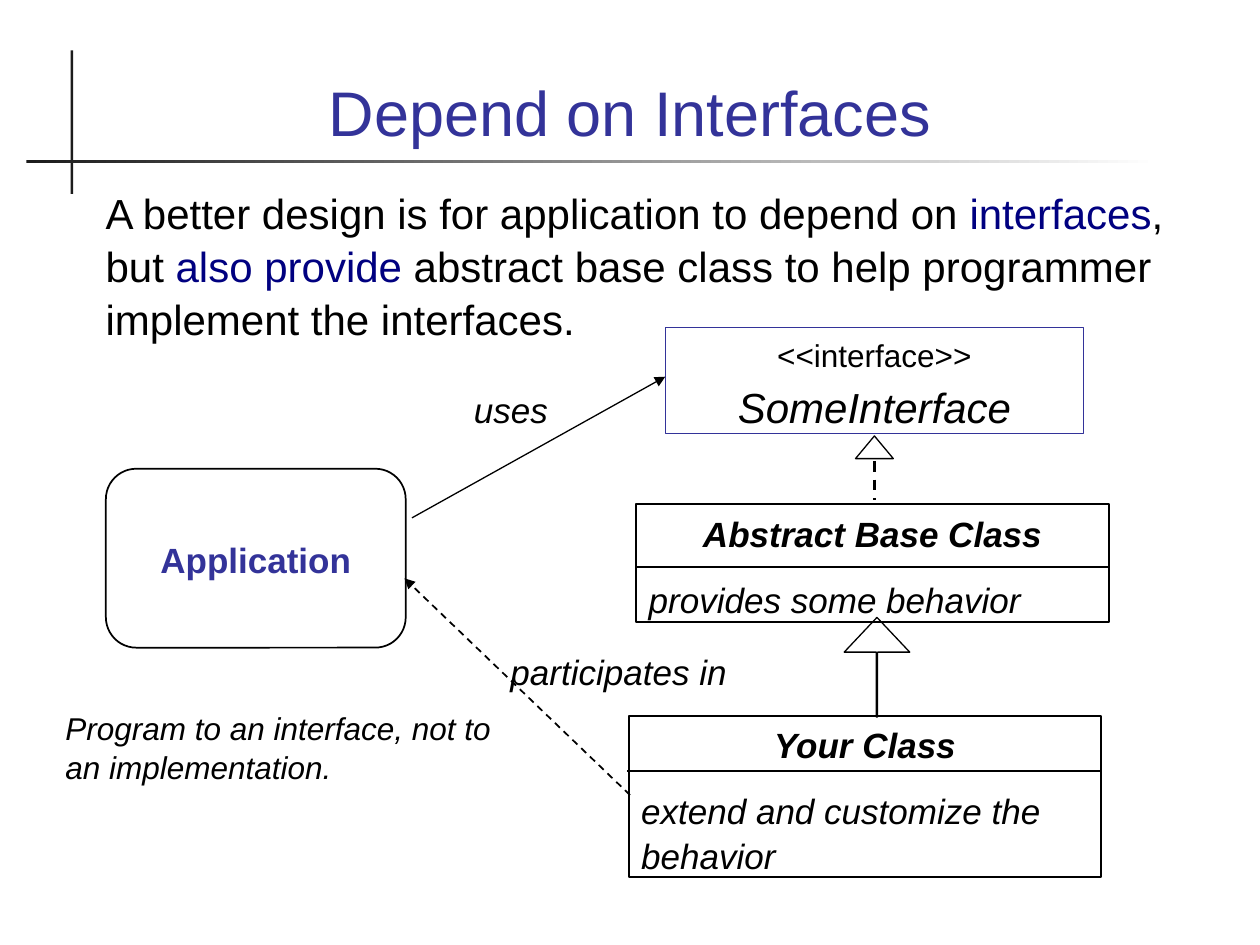
from pptx import Presentation
from pptx.dml.color import RGBColor
from pptx.enum.dml import MSO_LINE
from pptx.enum.shapes import MSO_CONNECTOR, MSO_SHAPE
from pptx.enum.text import MSO_ANCHOR, PP_ALIGN
from pptx.oxml.ns import qn
from pptx.util import Inches, Pt
from lxml import etree

RECTANGLE = MSO_SHAPE.RECTANGLE
LEFT, CENTER = PP_ALIGN.LEFT, PP_ALIGN.CENTER
TOP, MIDDLE, BOTTOM = MSO_ANCHOR.TOP, MSO_ANCHOR.MIDDLE, MSO_ANCHOR.BOTTOM
DASH = MSO_LINE.DASH
BLACK = RGBColor(0x00, 0x00, 0x00)
WHITE = RGBColor(0xFF, 0xFF, 0xFF)
CHARCOAL = RGBColor(0x1C, 0x1C, 0x1C)
INDIGO = RGBColor(0x33, 0x33, 0x99)
NAVY = RGBColor(0x00, 0x00, 0x80)

presentation = Presentation()
presentation.slide_width = Inches(10)
presentation.slide_height = Inches(7.5)
slide = presentation.slides.add_slide(presentation.slide_layouts[6])

# Grid of 100 columns by 75 rows
COLUMN = presentation.slide_width / 100
ROW = presentation.slide_height / 75


def add_box(kind, left, top, width, height, line_color=None, line_width=1,
            paragraphs=(), anchor=TOP):
    """Add a shape; a paragraph is (alignment, space before, runs),
    a run is (text, size, colour, bold, italic)."""
    shape = slide.shapes.add_shape(kind, int(left * COLUMN), int(top * ROW),
                                   int(width * COLUMN), int(height * ROW))
    shape.shadow.inherit = False
    shape.fill.background()
    if line_color is None:
        shape.line.fill.background()
    else:
        shape.line.color.rgb = line_color
        shape.line.width = Pt(line_width)
    frame = shape.text_frame
    frame.word_wrap = True
    frame.vertical_anchor = anchor
    for index, (alignment, space_before, runs) in enumerate(paragraphs):
        paragraph = frame.add_paragraph() if index else frame.paragraphs[0]
        paragraph.alignment = alignment
        paragraph.space_before = Pt(space_before)
        paragraph.line_spacing = 1.05
        for text, size, color, bold, italic in runs:
            run = paragraph.add_run()
            run.text = text
            run.font.name = "Arial"
            run.font.size = Pt(size)
            run.font.color.rgb = color
            run.font.bold = bold
            run.font.italic = italic
    return shape


def add_line(start, end, width, dash=None, arrow=False):
    line = slide.shapes.add_connector(
        MSO_CONNECTOR.STRAIGHT, int(start[0] * COLUMN), int(start[1] * ROW),
        int(end[0] * COLUMN), int(end[1] * ROW))
    line.line.color.rgb = BLACK
    line.line.width = Pt(width)
    if dash is not None:
        line.line.dash_style = dash
    properties = line._element.spPr
    if arrow:
        etree.SubElement(properties.find(qn("a:ln")), qn("a:tailEnd"), type="triangle")
    etree.SubElement(properties, qn("a:effectLst"))


# Title rules
vertical_rule = add_box(RECTANGLE, 5.6, 4, 0.2, 11.4)
vertical_rule.fill.solid()
vertical_rule.fill.fore_color.rgb = CHARCOAL
fading_rule = add_box(RECTANGLE, 2.1, 12.7, 89.8, 0.2)
fading_rule.fill.gradient()
fading_rule.fill.gradient_angle = 0
for stop, color in zip(fading_rule.fill.gradient_stops, (CHARCOAL, WHITE)):
    stop.color.rgb = color

# Title and introduction
add_box(RECTANGLE, 6.7, 2.8, 86.6, 9.5, anchor=BOTTOM, paragraphs=[
    (CENTER, 0, [("Depend on Interfaces", 36, INDIGO, False, False)])])
introduction = [
    ("A better design is for application to depend on ", BLACK),
    ("interfaces", NAVY),
    (", but ", BLACK),
    ("also provide", NAVY),
    (" abstract base class to help programmer implement the interfaces.", BLACK),
]
add_box(RECTANGLE, 7.4, 14.2, 86.6, 19.8, paragraphs=[
    (LEFT, 0, [(text, 24, color, False, False) for text, color in introduction])])

# Class boxes with their dividers
classes = [
    (50.5, 40, 9.4, 45, "Abstract Base Class", "provides some behavior"),
    (49.9, 56.8, 12.8, 61.2, "Your Class", "extend and customize the behavior"),
]
for left, top, height, divider, name, role in classes:
    add_box(RECTANGLE, left, top, 37.5, height, BLACK, paragraphs=[
        (CENTER, 0, [(name, 20, BLACK, True, True)]),
        (LEFT, 12.5, [(role, 20, BLACK, False, True)])])
    add_line((left - 0.1, divider), (left + 37.5, divider), 1)

# Application
application = add_box(
    MSO_SHAPE.ROUNDED_RECTANGLE, 8.4, 37.2, 23.8, 14.2, BLACK, anchor=MIDDLE,
    paragraphs=[(CENTER, 0, [("Application", 20, INDIGO, True, False)])])
application.adjustments[0] = 0.17

# Interface
add_box(RECTANGLE, 52.8, 26, 33.2, 8.4, INDIGO, 0.75, paragraphs=[
    (CENTER, 0, [("<<interface>>", 18, BLACK, False, False)]),
    (CENTER, 3, [("SomeInterface", 24, BLACK, False, True)])])

# Relations between the boxes
add_line((32.7, 41.1), (52.8, 29.9), 0.75, arrow=True)
add_line((50, 63.1), (32.1, 45.9), 1, dash=DASH, arrow=True)
inheritance = add_box(MSO_SHAPE.UP_ARROW, 67, 49, 5.2, 7.9, BLACK, 0.75)
inheritance.adjustments[0] = 0.02
inheritance.adjustments[1] = 0.53
realization = add_box(MSO_SHAPE.ISOSCELES_TRIANGLE, 67.9, 34.6, 3, 1.8, BLACK, 0.75)
realization.fill.solid()
realization.fill.fore_color.rgb = WHITE
add_line((69.4, 36.6), (69.4, 39.7), 1.5, dash=DASH)

# Relation labels and the principle
captions = [
    (34, 30.2, 13.1, 4.4, CENTER, 20, "uses"),
    (35, 51, 28.2, 4.4, CENTER, 20, "participates in"),
    (4.2, 55.6, 36.8, 7, LEFT, 18, "Program to an interface, not to an implementation."),
]
for left, top, width, height, alignment, size, text in captions:
    add_box(RECTANGLE, left, top, width, height, paragraphs=[
        (alignment, 0, [(text, size, BLACK, False, True)])])

presentation.save("out.pptx")
